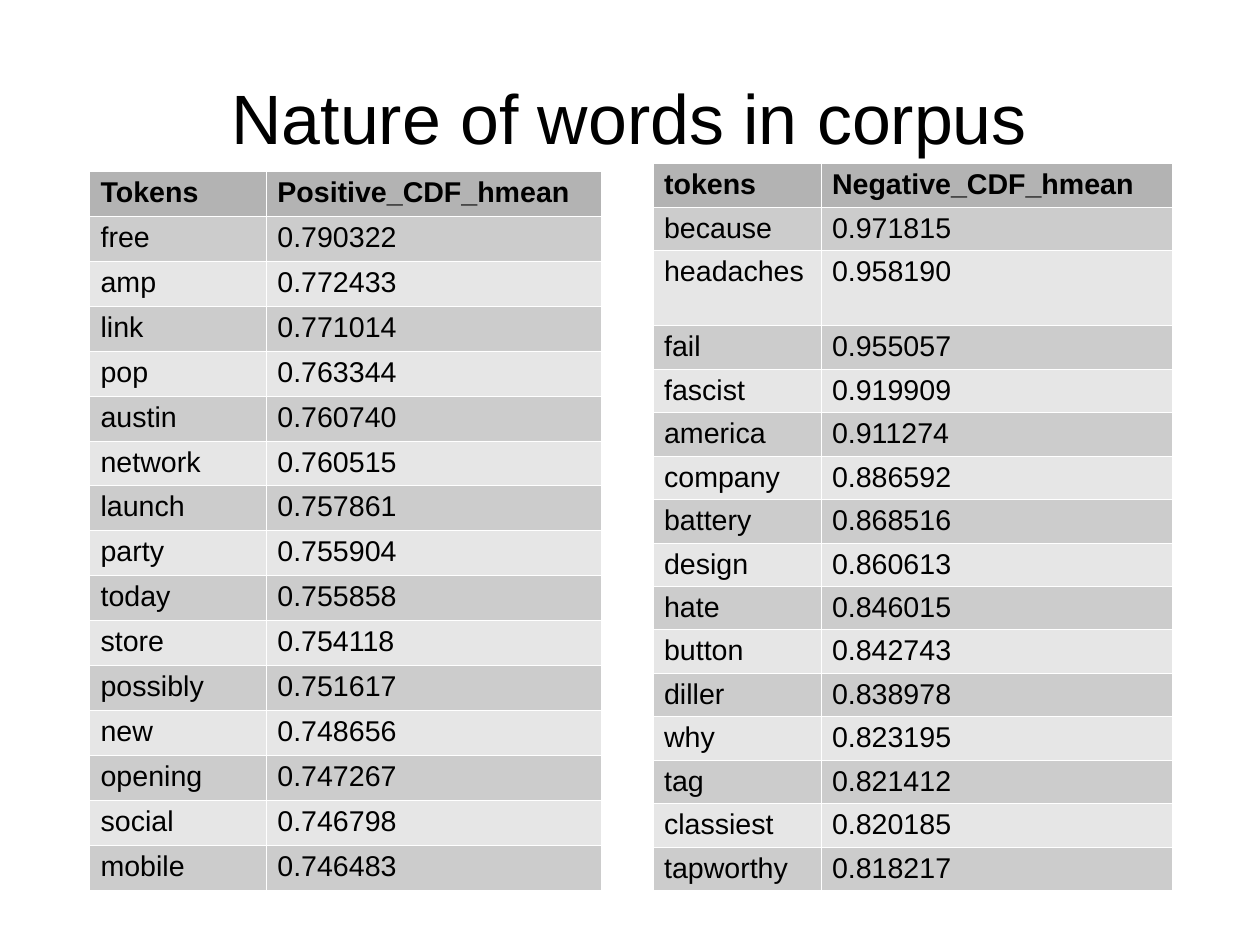
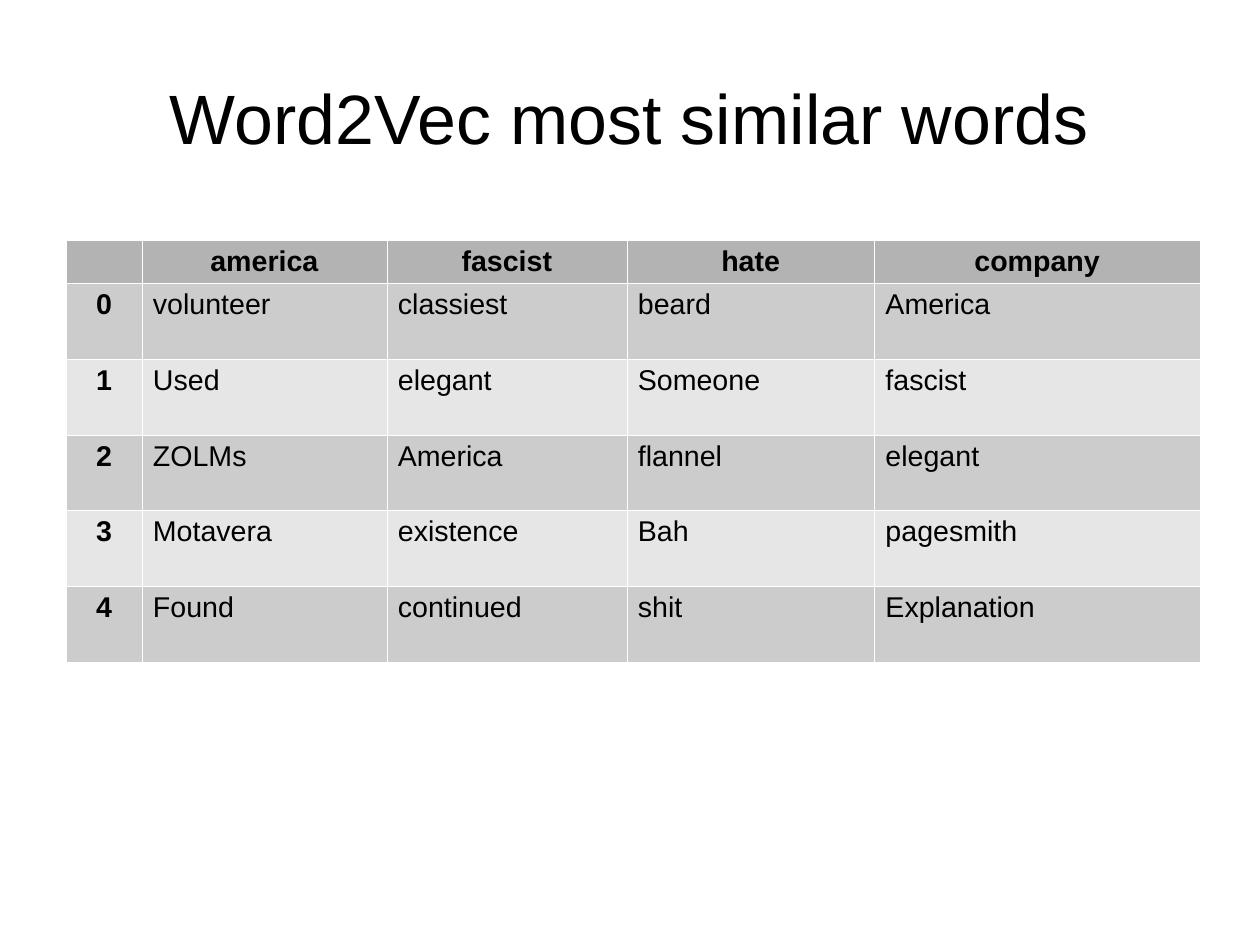
from lxml import etree
from pptx import Presentation
from pptx.dml.color import RGBColor
from pptx.enum import text
from pptx.oxml import ns
from pptx.util import Pt

FONT = "Arial"
BLACK = RGBColor(0x00, 0x00, 0x00)
WHITE = RGBColor(0xFF, 0xFF, 0xFF)
HEADER = RGBColor(0xB3, 0xB3, 0xB3)
BANDS = [RGBColor(0xCC, 0xCC, 0xCC), RGBColor(0xE6, 0xE6, 0xE6)]
BORDER_WIDTH = Pt(0.06)
ROW, TALL_ROW = 27.4, 47.66

POSITIVE = [
    ("Tokens", "Positive_CDF_hmean"),
    ("free", "0.790322"),
    ("amp", "0.772433"),
    ("link", "0.771014"),
    ("pop", "0.763344"),
    ("austin", "0.760740"),
    ("network", "0.760515"),
    ("launch", "0.757861"),
    ("party", "0.755904"),
    ("today", "0.755858"),
    ("store", "0.754118"),
    ("possibly", "0.751617"),
    ("new", "0.748656"),
    ("opening", "0.747267"),
    ("social", "0.746798"),
    ("mobile", "0.746483"),
]
NEGATIVE = [
    ("tokens", "Negative_CDF_hmean"),
    ("because", "0.971815"),
    ("headaches", "0.958190"),
    ("fail", "0.955057"),
    ("fascist", "0.919909"),
    ("america", "0.911274"),
    ("company", "0.886592"),
    ("battery", "0.868516"),
    ("design", "0.860613"),
    ("hate", "0.846015"),
    ("button", "0.842743"),
    ("diller", "0.838978"),
    ("why", "0.823195"),
    ("tag", "0.821412"),
    ("classiest", "0.820185"),
    ("tapworthy", "0.818217"),
]
SIMILAR = [
    ("", "america", "fascist", "hate", "company"),
    ("0", "volunteer", "classiest", "beard", "America"),
    ("1", "Used", "elegant", "Someone", "fascist"),
    ("2", "ZOLMs", "America", "flannel", "elegant"),
    ("3", "Motavera", "existence", "Bah", "pagesmith"),
    ("4", "Found", "continued", "shit", "Explanation"),
]

# Each table: left, top, column widths, row heights, rows, has an index column
SLIDES = [
    ("Nature of words in corpus", [
        (411.4, 102.8, [105.8, 221], [ROW] * 2 + [47.3] + [ROW] * 13, NEGATIVE, False),
        (56.4, 107.8, [111.4, 211], [28.3] * 16, POSITIVE, False),
    ]),
    ("Word2Vec most similar words", [
        (41.8, 151.2, [47.6, 154.3, 151.2, 156, 205], [ROW] + [TALL_ROW] * 5, SIMILAR, True),
    ]),
]


def write(para, words, size, bold=False, centred=False):
    para.alignment = text.PP_ALIGN.CENTER if centred else text.PP_ALIGN.LEFT
    span = para.add_run()
    span.text = words
    span.font.name = FONT
    span.font.size = Pt(size)
    span.font.bold = bold
    span.font.color.rgb = BLACK


def draw_border(cell):
    """Give the cell a white hairline on all four sides."""
    props = cell._tc.get_or_add_tcPr()
    for side in ("a:lnL", "a:lnR", "a:lnT", "a:lnB"):
        line = etree.SubElement(props, ns.qn(side), w=str(BORDER_WIDTH))
        fill = etree.SubElement(line, ns.qn("a:solidFill"))
        etree.SubElement(fill, ns.qn("a:srgbClr"), val=str(WHITE))


deck = Presentation()
deck.slide_width, deck.slide_height = Pt(793.75), Pt(595.25)

for title, tables in SLIDES:
    page = deck.slides.add_slide(deck.slide_layouts[6])
    page.background.fill.solid()
    page.background.fill.fore_color.rgb = WHITE

    box = page.shapes.add_textbox(Pt(39.6), Pt(23.8), Pt(714.2), Pt(99.4))
    frame = box.text_frame
    frame.word_wrap = True
    frame.vertical_anchor = text.MSO_ANCHOR.MIDDLE
    frame.margin_left = frame.margin_right = frame.margin_top = frame.margin_bottom = 0
    write(frame.paragraphs[0], title, 44, centred=True)

    for left, top, widths, heights, rows, indexed in tables:
        table = page.shapes.add_table(
            len(rows), len(widths), Pt(left), Pt(top), Pt(sum(widths)), Pt(sum(heights))
        ).table
        for column, width in zip(table.columns, widths):
            column.width = Pt(width)
        for r, (height, row) in enumerate(zip(heights, rows)):
            table.rows[r].height = Pt(height)
            for c, words in enumerate(row):
                cell = table.cell(r, c)
                cell.margin_left = cell.margin_right = Pt(7)
                cell.margin_top, cell.margin_bottom = Pt(3.5), Pt(1.8)
                draw_border(cell)
                cell.fill.solid()
                cell.fill.fore_color.rgb = BANDS[(r - 1) % 2] if r else HEADER
                is_index = indexed and c == 0
                if words:
                    write(cell.text_frame.paragraphs[0], words, 18,
                          bold=r == 0 or is_index,
                          centred=is_index or (indexed and r == 0))

deck.save("out.pptx")
